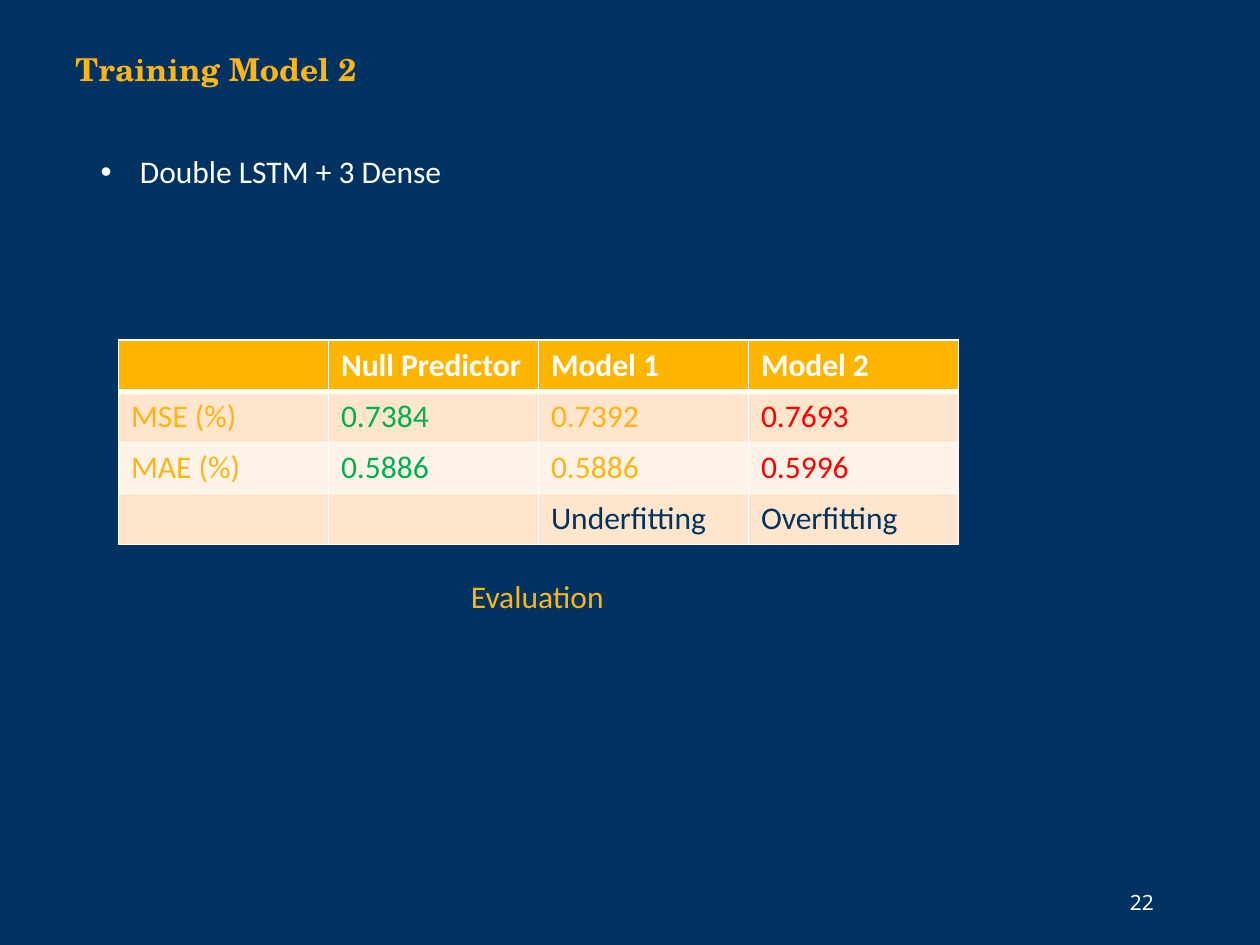
from lxml import etree
from pptx import Presentation
from pptx.dml.color import RGBColor
from pptx.oxml import ns
from pptx.util import Pt

NAVY, GOLD, WHITE = "003262", "FDB515", "FFFFFF"
GREEN, RED = "00B050", "FF0000"
HEAD, BANDS = "FDB500", ("FEE5CC", "FFF3E7")
ROWS = (
    ("", "Null Predictor", "Model 1", "Model 2"),
    ("MSE (%)", "0.7384", "0.7392", "0.7693"),
    ("MAE (%)", "0.5886", "0.5886", "0.5996"),
    ("", "", "Underfitting", "Overfitting"),
)
INKS = ((WHITE,) * 4, (GOLD, GREEN, GOLD, RED),
        (GOLD, GREEN, GOLD, RED), (NAVY,) * 4)


def color(code):
    """Turn a hex string into a colour."""
    return RGBColor.from_string(code)


def node(parent, tag, **attrs):
    """Add an XML child in the drawing namespace."""
    return etree.SubElement(parent, ns.qn(tag), attrs)


def add_run(para, words, ink, font="Calibri", size=18, bold=False):
    """Add one styled run to a paragraph."""
    run = para.add_run()
    run.text = words
    run.font.name = font
    run.font.size = Pt(size)
    run.font.bold = bold
    run.font.color.rgb = color(ink)


def add_text(slide, box, words, ink, wrap=True, bullet=False, **style):
    """Add a text box of one line, with a bullet if wanted."""
    frame = slide.shapes.add_textbox(*map(Pt, box)).text_frame
    frame.word_wrap = wrap
    para = frame.paragraphs[0]
    if bullet:
        props = para._p.get_or_add_pPr()
        props.set("marL", str(Pt(22.5)))
        props.set("indent", str(-Pt(22.5)))
        node(props, "a:buFont", typeface="Arial")
        node(props, "a:buChar", char="•")
    add_run(para, words, ink, **style)


def add_edges(cell, top, base):
    """Draw the four white borders of a cell."""
    props = cell._tc.get_or_add_tcPr()
    for side, width in zip("LRTB", (1, 1, top, base)):
        line = node(props, f"a:ln{side}", w=str(Pt(width)))
        node(node(line, "a:solidFill"), "a:srgbClr", val=WHITE)


def add_grid(slide, left, top, wide, high):
    """Add the table of model scores."""
    count, span = len(ROWS), len(ROWS[0])
    table = slide.shapes.add_table(
        count, span, Pt(left), Pt(top), Pt(wide * span), Pt(high * count)).table
    for col in table.columns:
        col.width = Pt(wide)
    for r, (words, inks) in enumerate(zip(ROWS, INKS)):
        table.rows[r].height = Pt(high)
        for c, (word, ink) in enumerate(zip(words, inks)):
            cell = table.cell(r, c)
            add_edges(cell, 3 if r == 1 else 1, 3 if r == 0 else 1)
            cell.fill.solid()
            cell.fill.fore_color.rgb = color(BANDS[(r - 1) % 2] if r else HEAD)
            para = cell.text_frame.paragraphs[0]
            if word:
                add_run(para, word, ink, bold=r == 0)
            else:
                para.font.size = Pt(18)


def main():
    """Build and save the slide."""
    deck = Presentation()
    deck.slide_width, deck.slide_height = Pt(720), Pt(540)
    slide = deck.slides.add_slide(deck.slide_layouts[6])
    slide.background.fill.solid()
    slide.background.fill.fore_color.rgb = color(NAVY)
    add_text(slide, (638.6, 504.7, 81.4, 21.6), "22", WHITE,
             font="Noto Sans", size=12)
    add_text(slide, (36, 25.2, 271.4, 38.2), "Training Model 2", GOLD,
             font="TeX Gyre Schola", bold=True)
    add_text(slide, (262, 326.2, 91.4, 51), "Evaluation", GOLD, wrap=False)
    add_text(slide, (50.4, 83.5, 360, 29), "Double LSTM + 3 Dense", WHITE,
             bullet=True)
    add_grid(slide, 67.7, 194.4, 120, 29.2)
    deck.save("out.pptx")


if __name__ == "__main__":
    main()
